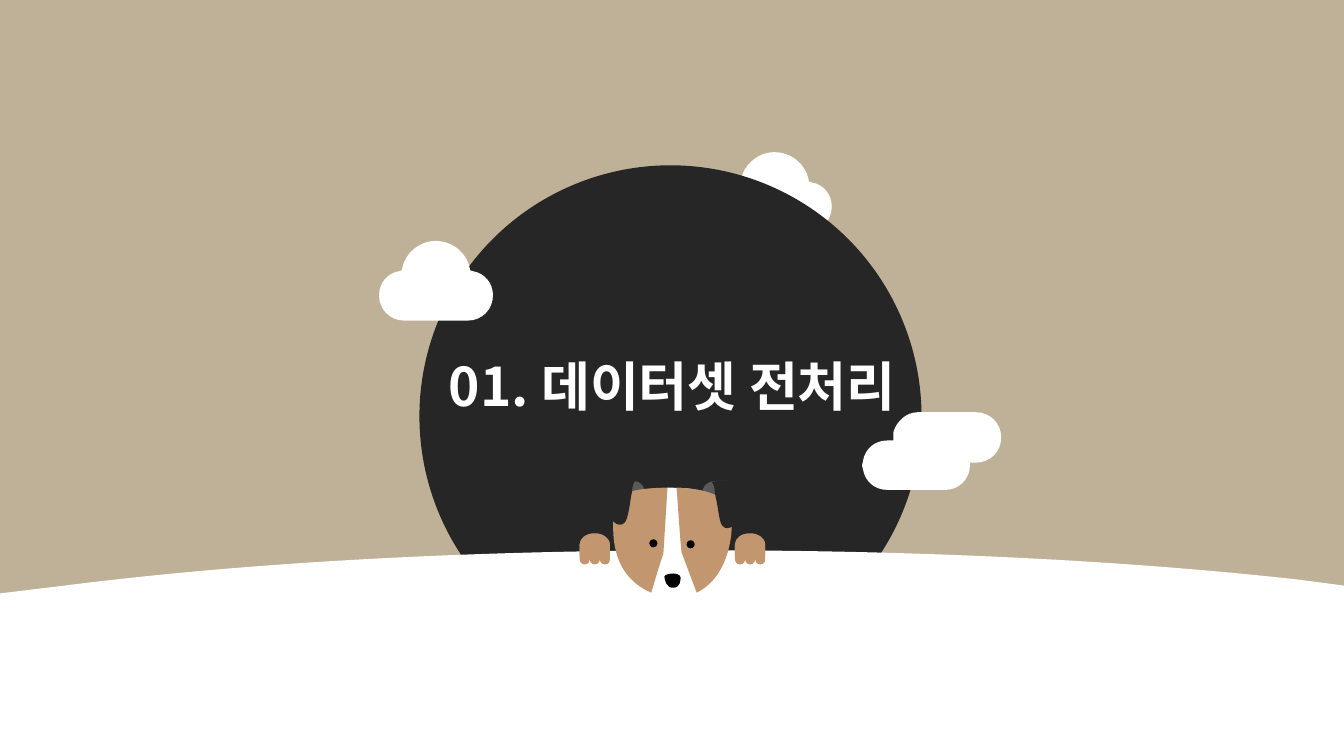
from math import cos, radians, sin

from lxml import etree
from pptx import Presentation
from pptx.dml.color import RGBColor
from pptx.enum.shapes import MSO_SHAPE
from pptx.enum.text import MSO_AUTO_SIZE, PP_ALIGN
from pptx.oxml.ns import qn
from pptx.util import Inches, Pt

ELLIPSE, PILL = MSO_SHAPE.OVAL, MSO_SHAPE.ROUNDED_RECTANGLE
CENTER, GROW = PP_ALIGN.CENTER, MSO_AUTO_SIZE.SHAPE_TO_FIT_TEXT
COLS, ROWS = 1333, 750
FONT = "Noto Sans CJK KR"
COLORS = {"sand": "BFB198", "white": "FFFFFF", "night": "262626",
          "fur": "C2966E", "grey": "595959", "black": "000000"}

CLOUD = ("768,151 / 785,151 799,163 802,178 / 802,180 / 805,181 / 817,183 825,193 825,205"
         " / 825,219 814,230 800,230 / 737,230 / 723,230 712,219 712,205"
         " / 712,193 720,183 732,181 / 735,180 / 735,178 / 738,163 752,151 768,151")
LONG_CLOUD = ("910,409 / 968,409 / 982,409 993,420 993,434 / 993,448 982,459 968,459"
              " / 962,459 / 962,462 / 962,475 951,486 938,486 / 880,486"
              " / 868,486 858,478 856,466 / 855,462 / 856,457 / 858,445 868,437 880,437"
              " / 886,437 / 886,429 / 889,418 899,409 910,409")
HILL = ("698,546 / 914,546 1116,556 1287,575 / 1333,581 / 1333,750 / -2,750 / -2,589"
        " / 64,581 / 245,558 463,546 698,546")
PAW = ("744,529 / 752,529 759,534 759,540 / 759,551 / 729,551 / 729,540"
       " / 729,534 735,529 744,529")
RIGHT_INNER_EAR = ("741,486 / 740,478 725,477 717,477 / 710,477 700,476 697,486"
                   " / 694,496 709,518 713,521 / 716,525 722,525 725,521"
                   " / 737,510 742,493 741,486")
LEFT_INNER_EAR = ("597,485 / 599,478 613,477 620,477 / 627,477 636,476 639,485"
                  " / 642,494 627,515 624,518 / 621,521 616,521 613,518"
                  " / 601,508 596,491 597,485")
FACE = ("609,505 / 612,487 651,483 671,484 / 690,484 721,490 725,507"
        " / 729,524 711,571 696,584 / 682,597 648,593 639,584 / 608,555 607,522 609,505")
LEFT_PATCH = ("662,484 / 658,549 / 652,567 652,568 646,588 / 602,569 608,522 609,505"
              " / 610,487 634,485 653,484")
RIGHT_PATCH = ("676,548 / 674,530 672,493 671,484 / 689,484 722,489 725,507"
               " / 728,524 725,571 691,588")
NOSE = ("659,572 / 659,570 665,569 668,569 / 670,569 675,570 675,573"
        " / 675,575 675,583 668,583 / 661,584 659,575 659,572")
LEFT_EAR = ("594,484 / 595,477 610,477 616,476 / 622,476 625,476 630,477"
            " / 626,482 628,485 626,492 / 625,499 623,514 620,518"
            " / 617,522 612,521 609,518 / 597,508 592,491 594,484")
RIGHT_EAR = ("744,486 / 743,478 727,477 721,477 / 714,477 711,477 706,478"
             " / 710,483 708,487 710,494 / 712,501 713,516 716,521"
             " / 719,526 725,524 728,521 / 740,510 746,493 744,486")


class Scene:
    """Draws flat elements on one slide, measured in grid columns and rows."""

    def __init__(self, prs, background):
        """Add a blank slide with a plain background."""
        self.s = prs.slides.add_slide(prs.slide_layouts[6])
        self.col, self.row = prs.slide_width / COLS, prs.slide_height / ROWS
        self.shapes = self.s.shapes
        self.paint(self.s.background.fill, background)

    def paint(self, fill, color):
        """Give a fill one solid colour."""
        fill.solid()
        fill.fore_color.rgb = RGBColor.from_string(COLORS[color])

    def finish(self, sp, color):
        """Make a shape flat, without line or shadow."""
        self.paint(sp.fill, color)
        sp.line.fill.background()
        sp.shadow.inherit = False

    def box(self, x, y, w, h):
        """Turn a grid box into slide lengths."""
        return [round(v) for v in (x * self.col, y * self.row, w * self.col, h * self.row)]

    def group(self):
        """Put the elements that follow in a new group."""
        self.shapes = self.s.shapes.add_group_shape().shapes

    def ungroup(self):
        """Put the elements that follow straight on the slide."""
        self.shapes = self.s.shapes

    def shape(self, kind, color, x, y, w, h):
        """Add a preset shape."""
        sp = self.shapes.add_shape(kind, *self.box(x, y, w, h))
        if kind == PILL:
            sp.adjustments[0] = 0.5
        self.finish(sp, color)

    def bend(self, sp, outlines):
        """Turn each three-point step of a freeform into a curve."""
        lines = iter(list(sp._element.iter(qn("a:lnTo"))))
        for outline in outlines:
            for step in outline.split(" / ")[1:]:
                curve = next(lines)
                if len(step.split()) == 3:
                    curve.tag = qn("a:cubicBezTo")
                    for _ in range(2):
                        line = next(lines)
                        curve.append(line[0])
                        line.getparent().remove(line)

    def outline(self, color, *outlines, dx=0, dy=0, rot=0):
        """Add a freeform whose frame is turned while its outline stays put."""
        turn = complex(cos(radians(rot)), sin(radians(rot)))
        loops = [[complex(*map(float, pair.split(","))) + complex(dx, dy)
                  for pair in o.replace("/", " ").split()] for o in outlines]
        loops = [[p / turn for p in loop] for loop in loops]
        xs = [p.real for loop in loops for p in loop]
        ys = [p.imag for loop in loops for p in loop]
        mid = complex(min(xs) + max(xs), min(ys) + max(ys)) / 2
        shift = mid * turn - mid
        builder = None
        for loop in loops:
            pts = [((p + shift).real * self.col, (p + shift).imag * self.row) for p in loop]
            if builder is None:
                builder = self.shapes.build_freeform(*pts[0])
            else:
                builder.move_to(*pts[0])
            builder.add_line_segments(pts[1:], close=True)
        sp = builder.convert_to_shape()
        self.bend(sp, outlines)
        sp.rotation = rot
        self.finish(sp, color)

    def title(self, text, color, x, y, w, h):
        """Add a centred bold heading."""
        tf = self.shapes.add_textbox(*self.box(x, y, w, h)).text_frame
        tf.word_wrap, tf.auto_size = True, GROW
        p = tf.paragraphs[0]
        p.alignment = CENTER
        r = p.add_run()
        r.text = text
        for name, value in {"size": Pt(38), "bold": True, "name": FONT}.items():
            setattr(r.font, name, value)
        self.paint(r.font.fill, color)
        etree.SubElement(r.font._element, qn("a:ea")).set("typeface", FONT)


def main():
    """Build the section slide and save it."""
    prs = Presentation()
    prs.slide_width, prs.slide_height = Inches(13.33), Inches(7.5)
    scene = Scene(prs, "sand")
    scene.outline("white", CLOUD)
    scene.shape(ELLIPSE, "night", 416, 164, 498, 498)
    scene.outline("white", HILL)

    scene.group()
    for dx in (0, -154):
        for toe in range(3):
            scene.shape(PILL, "fur", 729 + dx + 10 * toe, 535, 10, 25)
        scene.outline("fur", PAW, dx=dx)
    for color, outlines, rot in (
            ("grey", [RIGHT_INNER_EAR], 315), ("grey", [LEFT_INNER_EAR], 45),
            ("white", [FACE], 45), ("fur", [LEFT_PATCH, RIGHT_PATCH], 45),
            ("black", [NOSE], 45),
            ("night", [LEFT_EAR], 45), ("night", [RIGHT_EAR], 315)):
        scene.outline(color, *outlines, rot=rot)
    for x, y in ((644, 535), (681, 536)):
        scene.shape(ELLIPSE, "black", x, y, 8, 8)
    scene.ungroup()

    scene.title("01. 데이터셋 전처리", "white", 382, 346, 570, 73)
    scene.outline("white", CLOUD, dx=-336, dy=88)
    scene.outline("white", LONG_CLOUD)
    prs.save("out.pptx")


if __name__ == "__main__":
    main()
